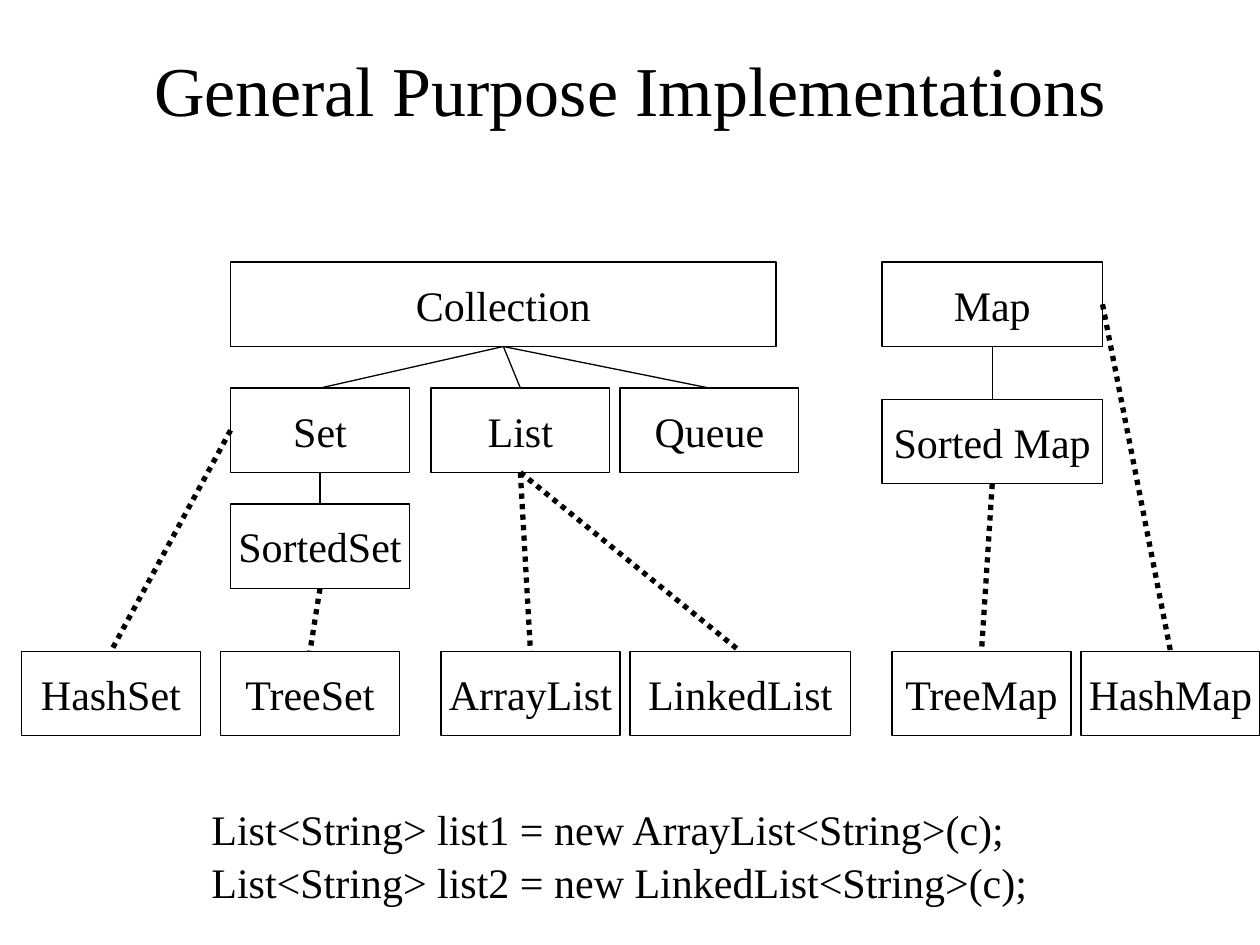
import pptx
import pptx.dml.color
import pptx.enum.dml
import pptx.enum.shapes
import pptx.enum.text
import pptx.oxml
import pptx.oxml.ns
import pptx.util
from pptx.util import Inches

BLACK = pptx.dml.color.RGBColor(0, 0, 0)
FONT = "Times New Roman"
BOX_HEIGHT = 0.67
NARROW = 1.42
WIDE = 1.75
TOP, LEFT, BOTTOM, RIGHT = range(4)

TYPES = [
    ("Collection", 1.83, 2.08, 4.33),
    ("Set", 1.83, 3.08, NARROW),
    ("List", 3.42, 3.08, NARROW),
    ("Queue", 4.92, 3.08, NARROW),
    ("SortedSet", 1.83, 4, NARROW),
    ("Map", 7, 2.08, WIDE),
    ("Sorted Map", 7, 3.17, WIDE),
    ("HashSet", 0.17, 5.17, NARROW),
    ("TreeSet", 1.75, 5.17, NARROW),
    ("ArrayList", 3.5, 5.17, NARROW),
    ("LinkedList", 5, 5.17, WIDE),
    ("TreeMap", 7.08, 5.17, NARROW),
    ("HashMap", 8.58, 5.17, NARROW),
]

EXTENSIONS = [
    ("Collection", "Set"),
    ("Collection", "List"),
    ("Collection", "Queue"),
    ("Set", "SortedSet"),
    ("Map", "Sorted Map"),
]

IMPLEMENTATIONS = [
    ("Set", LEFT, "HashSet"),
    ("SortedSet", BOTTOM, "TreeSet"),
    ("List", BOTTOM, "ArrayList"),
    ("List", BOTTOM, "LinkedList"),
    ("Sorted Map", BOTTOM, "TreeMap"),
    ("Map", RIGHT, "HashMap"),
]

CODE_LINES = [
    ("List<String> list1 = new ArrayList<String>(c);", 6.33, 6.51),
    ("List<String> list2 = new LinkedList<String>(c);", 6.75, 6.8),
]


def write_text(box, text, size, align):
    para = box.text_frame.paragraphs[0]
    para.alignment = align
    span = para.add_run()
    span.text = text
    span.font.name = FONT
    span.font.size = pptx.util.Pt(size)
    span.font.color.rgb = BLACK


def set_title(page, text):
    title = page.shapes.title
    title.left, title.top = Inches(0.75), Inches(0.08)
    title.width, title.height = Inches(8.5), Inches(1.25)
    title.text_frame.vertical_anchor = pptx.enum.text.MSO_ANCHOR.MIDDLE
    write_text(title, text, 40, pptx.enum.text.PP_ALIGN.CENTER)


def add_type_box(page, name, left, top, width):
    box = page.shapes.add_shape(
        pptx.enum.shapes.MSO_SHAPE.RECTANGLE,
        Inches(left), Inches(top), Inches(width), Inches(BOX_HEIGHT))
    box.shadow.inherit = False
    box.fill.background()
    box.line.color.rgb = BLACK
    box.line.width = pptx.util.Pt(0.75)
    box.text_frame.word_wrap = False
    box.text_frame.vertical_anchor = pptx.enum.text.MSO_ANCHOR.MIDDLE
    write_text(box, name, 24, pptx.enum.text.PP_ALIGN.CENTER)
    return box


def add_link(page, parent, side, child, width):
    link = page.shapes.add_connector(
        pptx.enum.shapes.MSO_CONNECTOR.STRAIGHT, 0, 0, 0, 0)
    link.begin_connect(parent, side)
    link.end_connect(child, TOP)
    link.line.color.rgb = BLACK
    link.line.width = pptx.util.Pt(width)
    properties = link._element.spPr
    properties.append(pptx.oxml.parse_xml(
        "<a:effectLst %s/>" % pptx.oxml.ns.nsdecls("a")))
    return link


def add_code_line(page, text, top, width):
    box = page.shapes.add_textbox(
        Inches(1.58), Inches(top), Inches(width), Inches(0.5))
    box.text_frame.word_wrap = True
    write_text(box, text, 24, pptx.enum.text.PP_ALIGN.LEFT)


def main():
    deck = pptx.Presentation()
    deck.slide_width, deck.slide_height = Inches(10), Inches(7.5)
    page = deck.slides.add_slide(deck.slide_layouts.get_by_name("Title Only"))
    set_title(page, "General Purpose Implementations")
    boxes = {}
    for name, left, top, width in TYPES:
        boxes[name] = add_type_box(page, name, left, top, width)
    for parent, child in EXTENSIONS:
        add_link(page, boxes[parent], BOTTOM, boxes[child], 0.75)
    for parent, side, child in IMPLEMENTATIONS:
        link = add_link(page, boxes[parent], side, boxes[child], 3)
        link.line.dash_style = pptx.enum.dml.MSO_LINE.ROUND_DOT
    for text, top, width in CODE_LINES:
        add_code_line(page, text, top, width)
    deck.save("out.pptx")


if __name__ == "__main__":
    main()
